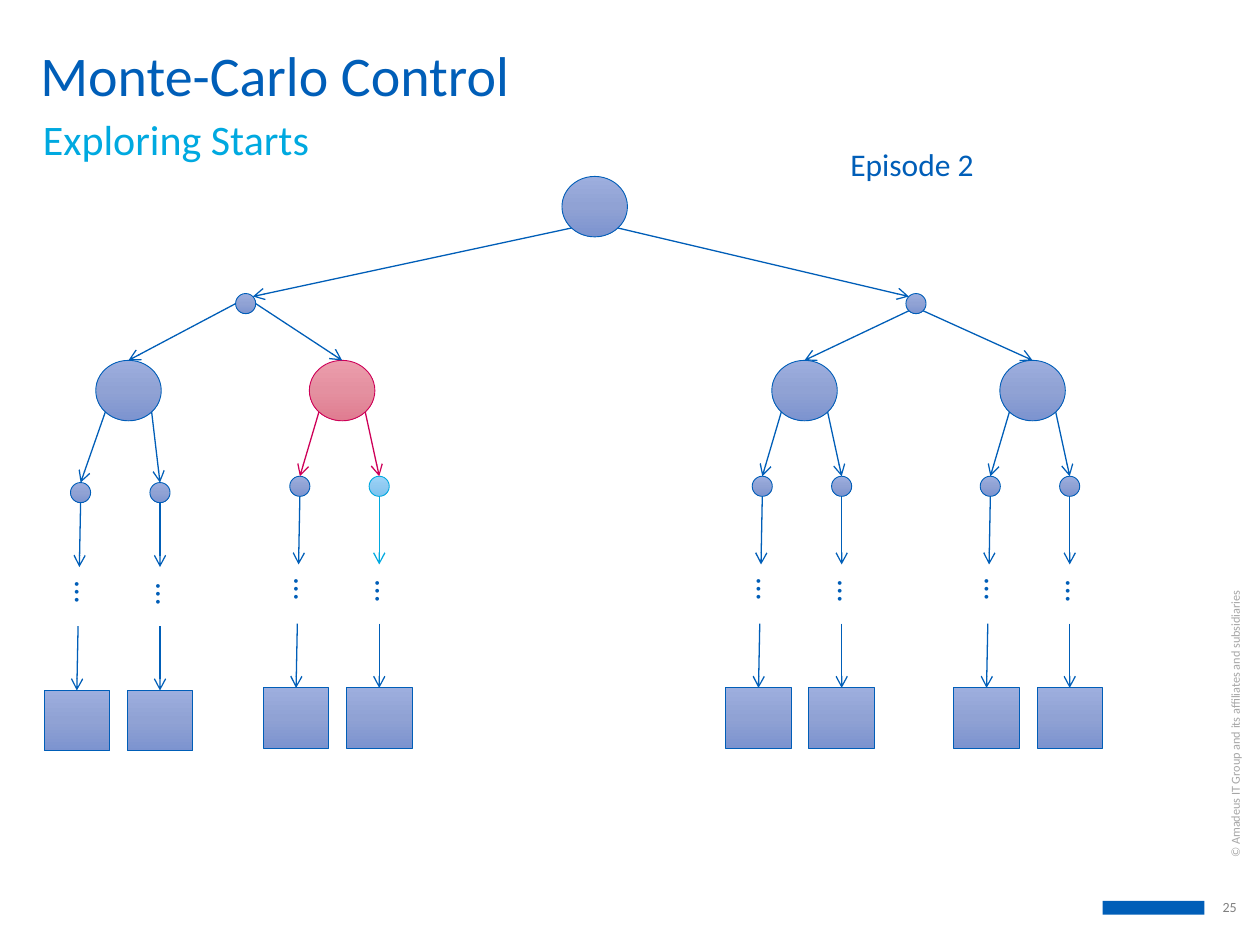
import copy
import math

import pptx
import pptx.dml.color
import pptx.enum.dml
import pptx.enum.shapes
import pptx.enum.text
import pptx.oxml.ns
import pptx.util
from lxml import etree

RGBColor = pptx.dml.color.RGBColor
SHAPE = pptx.enum.shapes.MSO_SHAPE
ANCHOR = pptx.enum.text.MSO_ANCHOR
ALIGN = pptx.enum.text.PP_ALIGN

BLUE = RGBColor(0x00, 0x5E, 0xB8)
CYAN = RGBColor(0x00, 0xA9, 0xE0)
PINK = RGBColor(0xCE, 0x00, 0x58)
GREY = RGBColor(0x80, 0x80, 0x80)
PALE_GREY = RGBColor(0xA6, 0xA6, 0xA6)

# Top, middle and bottom of the gradient that goes with each line colour
GRADIENTS = {
    BLUE: (RGBColor(0x9D, 0xAE, 0xDE), RGBColor(0x90, 0xA2, 0xD4), RGBColor(0x7C, 0x93, 0xCF)),
    CYAN: (RGBColor(0x9D, 0xD4, 0xF9), RGBColor(0x90, 0xCA, 0xF1), RGBColor(0x7C, 0xC3, 0xEF)),
    PINK: (RGBColor(0xEC, 0x9D, 0xAC), RGBColor(0xE4, 0x90, 0xA0), RGBColor(0xE0, 0x7C, 0x90)),
}

# The slide is a grid of 100 columns by 75 rows
WIDTH, HEIGHT = pptx.util.Inches(10), pptx.util.Inches(7.5)
COLUMN, ROW = WIDTH / 100, HEIGHT / 75

NODE = (5.2, 4.8)      # state or leaf, in columns and rows
ACTION = (1.6, 1.6)


def grid(left, top, width, height):
    return [round(n * unit) for n, unit in zip((left, top, width, height), (COLUMN, ROW) * 2)]


def write(box, text, size, color, align=ALIGN.LEFT, anchor=ANCHOR.TOP):
    frame = box.text_frame
    frame.word_wrap = True
    frame.auto_size = pptx.enum.text.MSO_AUTO_SIZE.NONE
    frame.vertical_anchor = anchor
    para = frame.paragraphs[0]
    para.alignment = align
    para.space_before = pptx.util.Pt(0)
    span = para.add_run()
    span.text = text
    span.font.name = "Calibri"
    span.font.size = pptx.util.Pt(size)
    span.font.color.rgb = color
    return frame


def label(page, place, text, size, color, turn=0, **layout):
    box = page.shapes.add_textbox(*grid(*place))
    box.rotation = turn
    return write(box, text, size, color, **layout)


def node(page, kind, left, top, size, color=BLUE):
    shape = page.shapes.add_shape(kind, *grid(left, top, *size))
    shape.shadow.inherit = False
    shape.fill.gradient()
    shape.fill.gradient_angle = 270
    stops = shape._element.spPr.find(".//" + pptx.oxml.ns.qn("a:gsLst"))
    stops.insert(1, copy.deepcopy(stops[0]))
    for stop, position, tint in zip(shape.fill.gradient_stops, (0, 0.5, 1), GRADIENTS[color]):
        stop.position = position
        stop.color.rgb = tint
    shape.line.color.rgb = color
    shape.line.width = pptx.util.Pt(0.5)
    return shape


def rim(shape, degrees):
    """Point on an ellipse, clockwise from its right side."""
    angle = math.radians(degrees)
    return (round(shape.left + shape.width / 2 * (1 + math.cos(angle))),
            round(shape.top + shape.height / 2 * (1 + math.sin(angle))))


def arrow(page, start, end, color=BLUE):
    """Arrow from a point to another point, or to the top of a shape."""
    is_point = isinstance(end, tuple)
    line = page.shapes.add_connector(pptx.enum.shapes.MSO_CONNECTOR.STRAIGHT,
                                     *start, *(end if is_point else start))
    if not is_point:
        line.end_connect(end, 0)
    line.line.color.rgb = color
    line.line.width = pptx.util.Pt(0.75)
    etree.SubElement(line.line._get_or_add_ln(), pptx.oxml.ns.qn("a:tailEnd"), type="arrow")
    etree.SubElement(line._element.spPr, pptx.oxml.ns.qn("a:effectLst"))


def subtree(page, left, top, state_shift=3.65, action_drop=9.2, leaf_drop=26,
            state_color=BLUE, last_color=BLUE):
    """State with two actions, each leading down to a leaf; returns the state."""
    state = node(page, SHAPE.OVAL, left + state_shift, top, NODE, state_color)
    for branch, color, angle in ((0, BLUE, 135), (1, last_color, 45)):
        action = node(page, SHAPE.OVAL, left + 2.1 + 6.3 * branch, top + action_drop,
                      ACTION, color)
        leaf_left, leaf_top = left + 6.6 * branch, top + leaf_drop
        leaf = node(page, SHAPE.RECTANGLE, leaf_left, leaf_top, NODE)
        arrow(page, rim(state, angle), action, state_color)
        middle = leaf_left + NODE[0] / 2
        stem_end = grid(middle + 0.2 * (1 - branch), leaf_top - 9.8, 0, 0)
        arrow(page, rim(action, 90), tuple(stem_end[:2]), color)
        stem_start = grid(middle + 0.1 * (1 - branch), leaf_top - 5.1, 0, 0)
        arrow(page, stem_start[:2], leaf)
        label(page, (leaf_left + 1.6, leaf_top - 9.8, 3.7 - 0.3 * branch, 4),
              "…", 18, BLUE, turn=90)
    return state


def tree(page, left, top):
    root = node(page, SHAPE.OVAL, left + 41.1, top, NODE)
    left_action, right_action = [node(page, SHAPE.OVAL, left + shift, top + 9.3, ACTION)
                                 for shift in (15.2, 68.4)]
    states_top = top + 14.6
    states = [
        subtree(page, left, states_top, state_shift=4.1, action_drop=9.7, leaf_drop=26.2),
        subtree(page, left + 17.4, states_top, state_color=PINK, last_color=CYAN),
        subtree(page, left + 54.1, states_top),
        subtree(page, left + 72.2, states_top),
    ]
    arrow(page, rim(root, 135), rim(left_action, 315))
    arrow(page, rim(root, 45), rim(right_action, 225))
    starts = (rim(left_action, 180), rim(left_action, 0),
              rim(right_action, 135), rim(right_action, 45))
    for start, state in zip(starts, states):
        arrow(page, start, state)


def heading(page, left, top, width):
    title, body = page.shapes.title, page.placeholders[1]
    title.left, title.top, title.width, title.height = grid(left, top, width, 5.3)
    write(title, "Monte-Carlo Control", 32, BLUE).margin_top = 0
    body.left, body.top, body.width, body.height = grid(left + 0.2, top + 5.3, width - 0.2, 5.1)
    settings = body.text_frame.paragraphs[0]._p.get_or_add_pPr()
    settings.set("marL", "0")
    settings.set("indent", "0")
    etree.SubElement(settings, pptx.oxml.ns.qn("a:buNone"))
    write(body, "Exploring Starts", 24, CYAN)


def footer(page, left, top):
    # Plain bar in the place of the company mark
    mark = page.shapes.add_shape(SHAPE.RECTANGLE, *grid(left, top + 0.2, 8.1, 1.1))
    mark.shadow.inherit = False
    mark.fill.solid()
    mark.fill.fore_color.rgb = BLUE
    mark.line.fill.background()
    number = label(page, (left + 9.1, top, 2, 1.3), "25", 8, GREY,
                   align=ALIGN.CENTER, anchor=ANCHOR.MIDDLE)
    number.margin_left = number.margin_right = number.margin_top = number.margin_bottom = 0
    label(page, (left - 6.4, top - 20.1, 33.8, 1.9),
          "© Amadeus IT Group and its affiliates and subsidiaries", 7, PALE_GREY,
          turn=270, anchor=ANCHOR.MIDDLE)


def main():
    deck = pptx.Presentation()
    deck.slide_width, deck.slide_height = WIDTH, HEIGHT
    page = deck.slides.add_slide(deck.slide_layouts[1])
    footer(page, 87.5, 71.3)
    heading(page, 2.2, 3.2, 92.3)
    tree(page, 3.5, 14)
    label(page, (66.5, 11, 23.8, 4), "Episode 2", 18, BLUE)
    deck.save("out.pptx")


if __name__ == "__main__":
    main()
